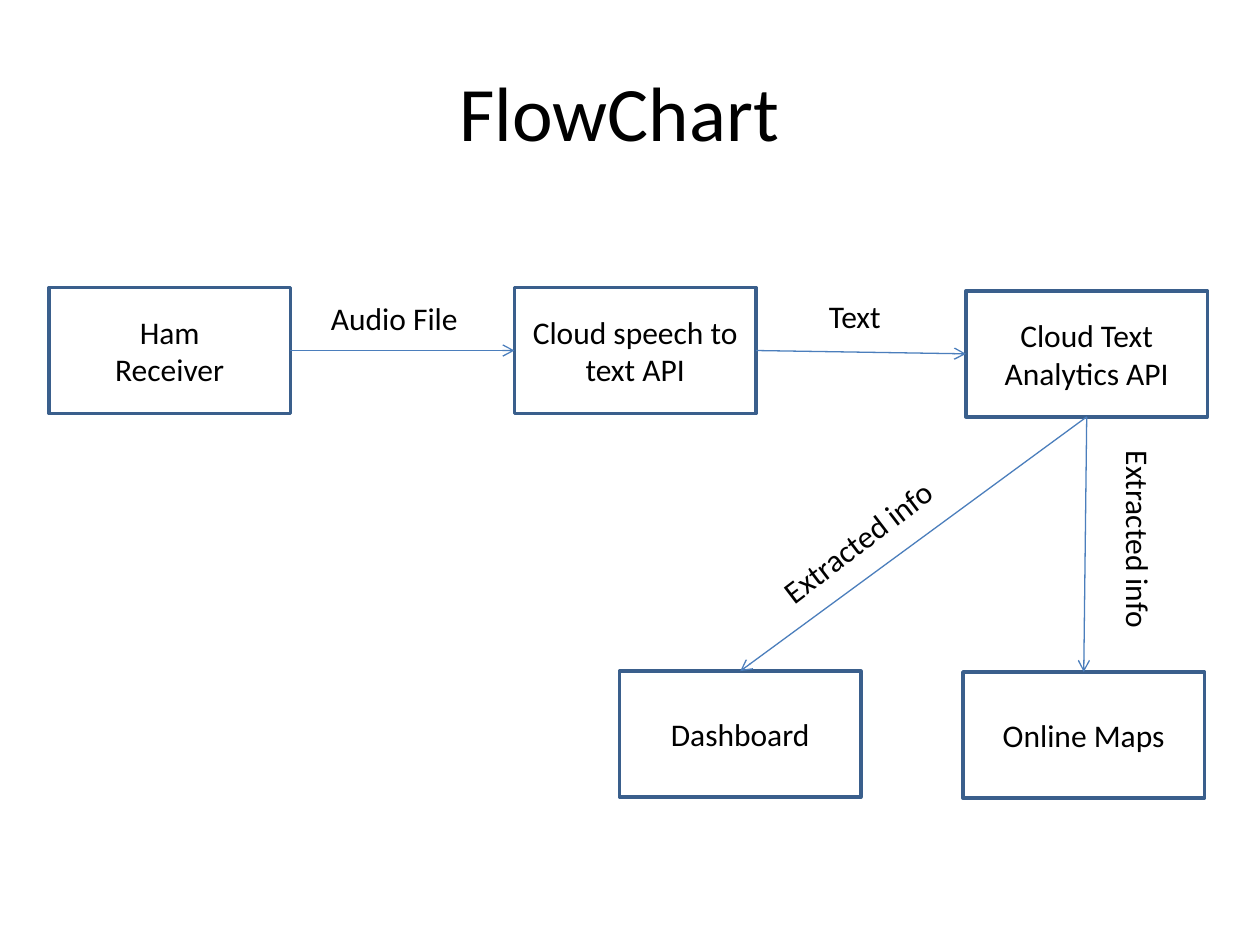
from dataclasses import dataclass

from lxml.etree import SubElement
from pptx import Presentation
from pptx.dml.color import RGBColor
from pptx.enum.shapes import MSO_CONNECTOR as CONN, MSO_SHAPE as SHAPE
from pptx.enum.text import MSO_ANCHOR as ANCHOR, MSO_AUTO_SIZE as AUTO, PP_ALIGN as ALIGN
from pptx.oxml.ns import qn
from pptx.shapes.autoshape import Shape
from pptx.slide import Slide
from pptx.text.text import TextFrame
from pptx.util import Pt

BLACK = RGBColor(0x00, 0x00, 0x00)
WHITE = RGBColor(0xFF, 0xFF, 0xFF)
BORDER = RGBColor(0x3A, 0x5F, 0x8C)
ARROW = RGBColor(0x4B, 0x7E, 0xBC)
FONT = "Calibri"
BOX_W, BOX_H = 138, 72
LABEL_H = 29
TOP, LEFT, BOTTOM, RIGHT = range(4)


@dataclass
class Box:
    lines: list[str]
    x: float
    y: float

    def site(self, side: int) -> tuple[Pt, Pt]:
        dx, dy = [(0.5, 0), (0, 0.5), (0.5, 1), (1, 0.5)][side]
        return Pt(self.x + dx * BOX_W), Pt(self.y + dy * BOX_H)


@dataclass
class Link:
    start: Box
    start_side: int
    end: Box
    end_side: int


@dataclass
class Label:
    text: str
    x: float
    y: float
    w: float
    rotation: float = 0


RECEIVER = Box(["Ham", "Receiver"], 28, 164.3)
SPEECH = Box(["Cloud speech to text API"], 294, 164.3)
ANALYTICS = Box(["Cloud Text Analytics API"], 552, 166.2)
MAPS = Box(["Online Maps"], 550.3, 384)
DASHBOARD = Box(["Dashboard"], 354, 383.5)
BOXES = [RECEIVER, SPEECH, ANALYTICS, MAPS, DASHBOARD]
LINKS = [
    Link(RECEIVER, RIGHT, SPEECH, LEFT),
    Link(SPEECH, RIGHT, ANALYTICS, LEFT),
    Link(ANALYTICS, BOTTOM, MAPS, TOP),
    Link(ANALYTICS, BOTTOM, DASHBOARD, TOP),
]
LABELS = [
    Label("Audio File", 182, 167.5, 96),
    Label("Text", 466.5, 166, 84),
    Label("Extracted info", 430.5, 290, 132, 322.6),
    Label("Extracted info", 584.5, 302, 132, 90),
]


def write(tf: TextFrame, lines: list[str], size: float, align: ALIGN) -> None:
    for i, line in enumerate(lines):
        p = tf.add_paragraph() if i else tf.paragraphs[0]
        p.alignment = align
        r = p.add_run()
        r.text = line
        r.font.name = FONT
        r.font.size = Pt(size)
        r.font.color.rgb = BLACK


def add_title(s: Slide, text: str) -> None:
    sp = s.shapes.title
    sp.left, sp.top, sp.width, sp.height = Pt(30), Pt(18), Pt(648), Pt(90)
    sp.text_frame.vertical_anchor = ANCHOR.MIDDLE
    write(sp.text_frame, [text], 44, ALIGN.CENTER)


def add_box(s: Slide, box: Box) -> Shape:
    sp = s.shapes.add_shape(SHAPE.RECTANGLE, Pt(box.x), Pt(box.y), Pt(BOX_W), Pt(BOX_H))
    sp.shadow.inherit = False
    sp.fill.solid()
    sp.fill.fore_color.rgb = WHITE
    sp.line.color.rgb = BORDER
    sp.line.width = Pt(2)
    tf = sp.text_frame
    tf.word_wrap = True
    tf.vertical_anchor = ANCHOR.MIDDLE
    write(tf, box.lines, 18, ALIGN.CENTER)
    return sp


def add_link(s: Slide, link: Link, shapes: list[Shape]) -> None:
    start, end = link.start.site(link.start_side), link.end.site(link.end_side)
    cx = s.shapes.add_connector(CONN.STRAIGHT, *start, *end)
    cx.begin_connect(shapes[BOXES.index(link.start)], link.start_side)
    cx.end_connect(shapes[BOXES.index(link.end)], link.end_side)
    cx.line.color.rgb = ARROW
    cx.line.width = Pt(0.75)
    SubElement(cx.line._get_or_add_ln(), qn("a:tailEnd"), type="arrow")
    SubElement(cx._element.spPr, qn("a:effectLst"))


def add_label(s: Slide, label: Label) -> None:
    sp = s.shapes.add_textbox(Pt(label.x), Pt(label.y), Pt(label.w), Pt(LABEL_H))
    sp.rotation = label.rotation
    tf = sp.text_frame
    tf.word_wrap = True
    tf.auto_size = AUTO.SHAPE_TO_FIT_TEXT
    write(tf, [label.text], 18, ALIGN.LEFT)


def main() -> None:
    prs = Presentation()
    prs.slide_width, prs.slide_height = Pt(720), Pt(540)
    s = prs.slides.add_slide(prs.slide_layouts[5])
    add_title(s, "FlowChart")
    shapes = [add_box(s, box) for box in BOXES]
    for link in LINKS:
        add_link(s, link, shapes)
    for label in LABELS:
        add_label(s, label)
    prs.save("out.pptx")


main()
